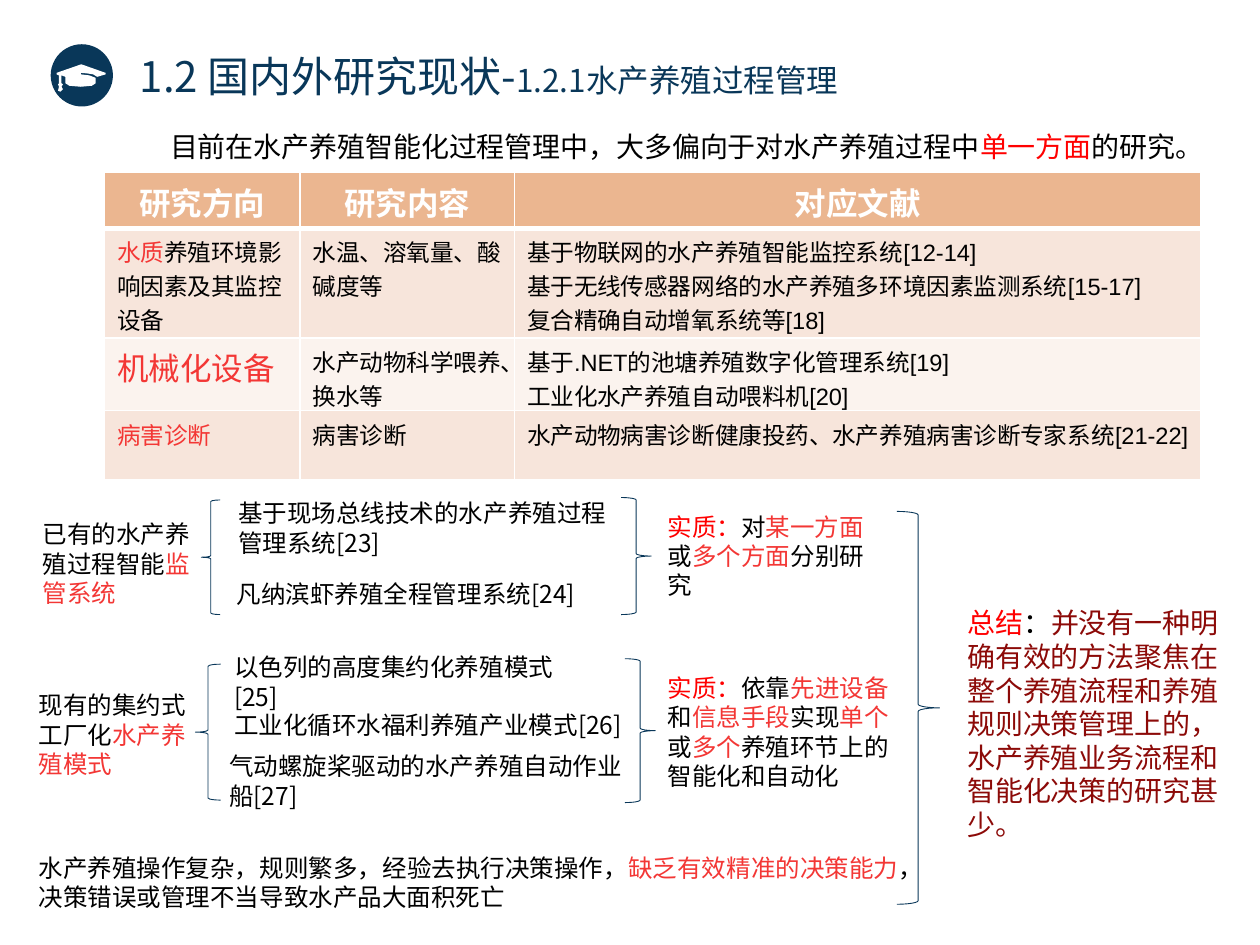
from dataclasses import dataclass

from lxml import etree
from pptx import Presentation
from pptx.dml.color import RGBColor
from pptx.enum.shapes import MSO_SHAPE
from pptx.enum.text import MSO_ANCHOR, PP_ALIGN
from pptx.oxml.ns import qn
from pptx.util import Cm, Pt

OVAL = MSO_SHAPE.OVAL
LEFT = MSO_SHAPE.LEFT_BRACE
RIGHT = MSO_SHAPE.RIGHT_BRACE
TOP = MSO_ANCHOR.TOP
MIDDLE = MSO_ANCHOR.MIDDLE
CENTER = PP_ALIGN.CENTER


@dataclass(frozen=True)
class Theme:
    navy: str = "093759"
    white: str = "FFFFFF"
    black: str = "000000"
    red: str = "FF0000"
    coral: str = "F33735"
    wine: str = "8C0A08"
    head: str = "EBB690"
    bands: tuple = ("F7E5DB", "FBF3EE")
    title: float = 24
    large: float = 18
    lead: float = 16
    body: float = 14
    cell: float = 13.5
    pitch: float = 1.2
    sans: str = "Noto Sans CJK SC"
    plain: str = "Arial"


T = Theme()


@dataclass
class Run:
    text: str
    ink: str = T.black
    face: str = T.sans
    size: float = 0
    bold: bool = False


class Page:
    def __init__(self, slide, theme):
        self.slide = slide
        self.shapes = slide.shapes
        self.theme = theme

    def fill_in(self, para, runs, size):
        for item in runs:
            run = para.add_run()
            run.text = item.text
            font = run.font
            font.name = item.face
            font.size = Pt(item.size or size)
            font.bold = item.bold
            font.color.rgb = RGBColor.from_string(item.ink)
            east = etree.SubElement(run._r.get_or_add_rPr(), qn("a:ea"))
            east.set("typeface", self.theme.sans)

    def text(self, area, runs, size=T.body, anchor=TOP):
        box = self.shapes.add_textbox(*map(Cm, area))
        frame = box.text_frame
        frame.word_wrap = True
        frame.vertical_anchor = anchor
        para = frame.paragraphs[0]
        para.line_spacing = Pt(size * self.theme.pitch)
        self.fill_in(para, runs, size)

    def paint(self, shape, fill, line=None, width=1):
        shape.shadow.inherit = False
        if fill:
            shape.fill.solid()
            shape.fill.fore_color.rgb = RGBColor.from_string(fill)
        else:
            shape.fill.background()
        if line:
            shape.line.color.rgb = RGBColor.from_string(line)
            shape.line.width = Pt(width)
        else:
            shape.line.fill.background()

    def brace(self, kind, area):
        shape = self.shapes.add_shape(kind, *map(Cm, area))
        self.paint(shape, None, self.theme.navy, 0.5)

    def disc(self, area):
        shape = self.shapes.add_shape(OVAL, *map(Cm, area))
        self.paint(shape, self.theme.navy, self.theme.navy)

    def form(self, points):
        """Closed outline; points are in hundredths of a centimetre."""
        maker = self.shapes.build_freeform(*points[0], scale=Cm(0.01))
        maker.add_line_segments(points[1:], close=True)
        self.paint(maker.convert_to_shape(), self.theme.white)

    def edge(self, cell, base):
        props = cell._tc.get_or_add_tcPr()
        for side in "LRTB":
            width = base if side == "B" else 1
            line = etree.SubElement(props, qn("a:ln" + side), w=str(Pt(width)))
            fill = etree.SubElement(line, qn("a:solidFill"))
            etree.SubElement(fill, qn("a:srgbClr"), val=self.theme.white)

    def table(self, spot, cols, rows, data):
        area = (*spot, sum(cols), sum(rows))
        grid = self.shapes.add_table(len(rows), len(cols), *map(Cm, area)).table
        for col, width in zip(grid.columns, cols):
            col.width = Cm(width)
        for i, (height, line) in enumerate(zip(rows, data)):
            grid.rows[i].height = Cm(height)
            shade = self.theme.bands[(i - 1) % 2] if i else self.theme.head
            for j, paras in enumerate(line):
                cell = grid.cell(i, j)
                self.edge(cell, 1 if i else 3)
                cell.fill.solid()
                cell.fill.fore_color.rgb = RGBColor.from_string(shade)
                for k, runs in enumerate(paras):
                    frame = cell.text_frame
                    para = frame.add_paragraph() if k else frame.paragraphs[0]
                    if not i:
                        para.alignment = CENTER
                    self.fill_in(para, runs, self.theme.cell)


def lines(*texts):
    return [[Run(text, face=T.plain)] for text in texts]


def tag(text, size=0):
    return Run(text, T.coral, T.plain, size)


def main():
    deck = Presentation()
    deck.slide_width, deck.slide_height = Cm(25.4), Cm(19.05)
    page = Page(deck.slides.add_slide(deck.slide_layouts[6]), T)

    # Title with graduation cap
    page.disc((1.04, 0.91, 1.22, 1.22))
    page.form([
        (114, 147), (163, 130), (165, 130), (213, 147), (213, 150), (196, 155),
        (188, 150), (175, 148), (163, 147), (163, 150), (180, 152), (193, 157),
        (193, 168), (185, 173), (163, 175), (140, 173), (132, 168), (132, 155),
        (124, 152), (124, 168), (127, 170), (124, 175), (127, 180), (122, 185),
        (117, 183), (119, 175), (117, 170), (119, 168), (119, 152), (114, 150)])
    page.text((2.57, 0.89, 15.39, 1.27), [
        Run("1.2 国内外研究现状-", T.navy),
        Run("1.2.1水产养殖过程管理", T.navy, size=T.large)], T.title)

    # Table of research fields
    heads = [[[Run(name, T.white, T.plain, T.large, True)]]
             for name in ("研究方向", "研究内容", "对应文献")]
    page.table((2.11, 3.48), (3.94, 4.32, 13.84), (1.12, 2.21, 1.47, 0.97), [
        heads,
        [[[tag("水质"), Run("养殖环境影响因素及其监控设备", face=T.plain)]],
         lines("水温、溶氧量、酸碱度等"),
         lines("基于物联网的水产养殖智能监控系统[12-14]",
               "基于无线传感器网络的水产养殖多环境因素监测系统[15-17]",
               "复合精确自动增氧系统等[18]")],
        [[[tag("机械化设备", T.large)]],
         lines("水产动物科学喂养、换水等"),
         lines("基于.NET的池塘养殖数字化管理系统[19]",
               "工业化水产养殖自动喂料机[20]")],
        [[[tag("病害诊断")]],
         lines("病害诊断"),
         lines("水产动物病害诊断健康投药、水产养殖病害诊断专家系统[21-22]")]])
    page.text((3.18, 2.49, 21.46, 0.94), [
        Run("目前在水产养殖智能化过程管理中，大多偏向于对水产养殖过程中"),
        Run("单一方面", T.red), Run("的研究。")], T.lead)

    # Braces
    for kind, area in [(LEFT, (4.06, 10.08, 0.38, 2.31)),
                       (RIGHT, (12.52, 10.03, 0.61, 2.36)),
                       (LEFT, (3.94, 13.39, 0.51, 2.74)),
                       (RIGHT, (12.6, 13.28, 0.61, 2.9)),
                       (RIGHT, (18.08, 10.31, 0.86, 7.92))]:
        page.brace(kind, area)

    # Groups on the left
    page.text((0.61, 10.34, 3.63, 1.96), [
        Run("已有的水产养殖过程智能"), Run("监管系统", T.coral)])
    page.text((0.53, 13.79, 3.63, 1.96), [
        Run("现有的集约式工厂化", face=T.plain), tag("水产养殖模式")])

    # Cited works
    for area, name, mark, face in [
            ((4.55, 9.91, 8.05, 1.45), "基于现场总线技术的水产养殖过程管理系统", "[23]", T.sans),
            ((4.52, 11.53, 7.44, 0.86), "凡纳滨虾养殖全程管理系统", "[24]", T.sans),
            ((4.47, 13.31, 7.8, 0.86), "以色列的高度集约化养殖模式", "[25]", T.plain),
            ((4.47, 14.17, 8.48, 0.86), "工业化循环水福利养殖产业模式", "[26]", T.plain),
            ((4.37, 15.01, 8.48, 1.45), "气动螺旋桨驱动的水产养殖自动作业船", "[27]", T.plain)]:
        page.text(area, [Run(name, face=face), Run(mark)], anchor=MIDDLE)

    # Essence of each group
    page.text((13.21, 10.19, 4.75, 1.96), [
        Run("实质：", T.red), Run("对"), Run("某一方面", T.coral), Run("或"),
        Run("多个方面", T.coral), Run("分别研究")])
    pairs = [("依靠", "先进设备"), ("和", "信息手段"), ("实现", "单个"), ("或", "多个")]
    mixed = [run for word, key in pairs
             for run in (Run(word, face=T.plain), tag(key))]
    page.text((13.21, 13.44, 5.11, 2.51), [
        Run("实质：", T.red), *mixed,
        Run("养殖环节上的智能化和自动化", face=T.plain)])

    # Summary and closing remark
    page.text((19.25, 12.09, 5.84, 5.05), [
        Run("总结", T.red), Run("："),
        Run("并没有一种明确有效的方法聚焦在整个养殖流程和养殖规则决策管理上的，"
            "水产养殖业务流程和智能化决策的研究甚少。", T.wine, T.plain)], T.lead)
    page.text((0.53, 17.07, 17.93, 1.45), [
        Run("水产养殖操作复杂，规则繁多，"),
        Run("经验去执行决策操作，", face=T.plain),
        Run("缺乏有效精准的决策能力", T.coral),
        Run("，决策错误或管理不当导致水产品大面积死亡")])

    deck.save("out.pptx")


if __name__ == "__main__":
    main()
